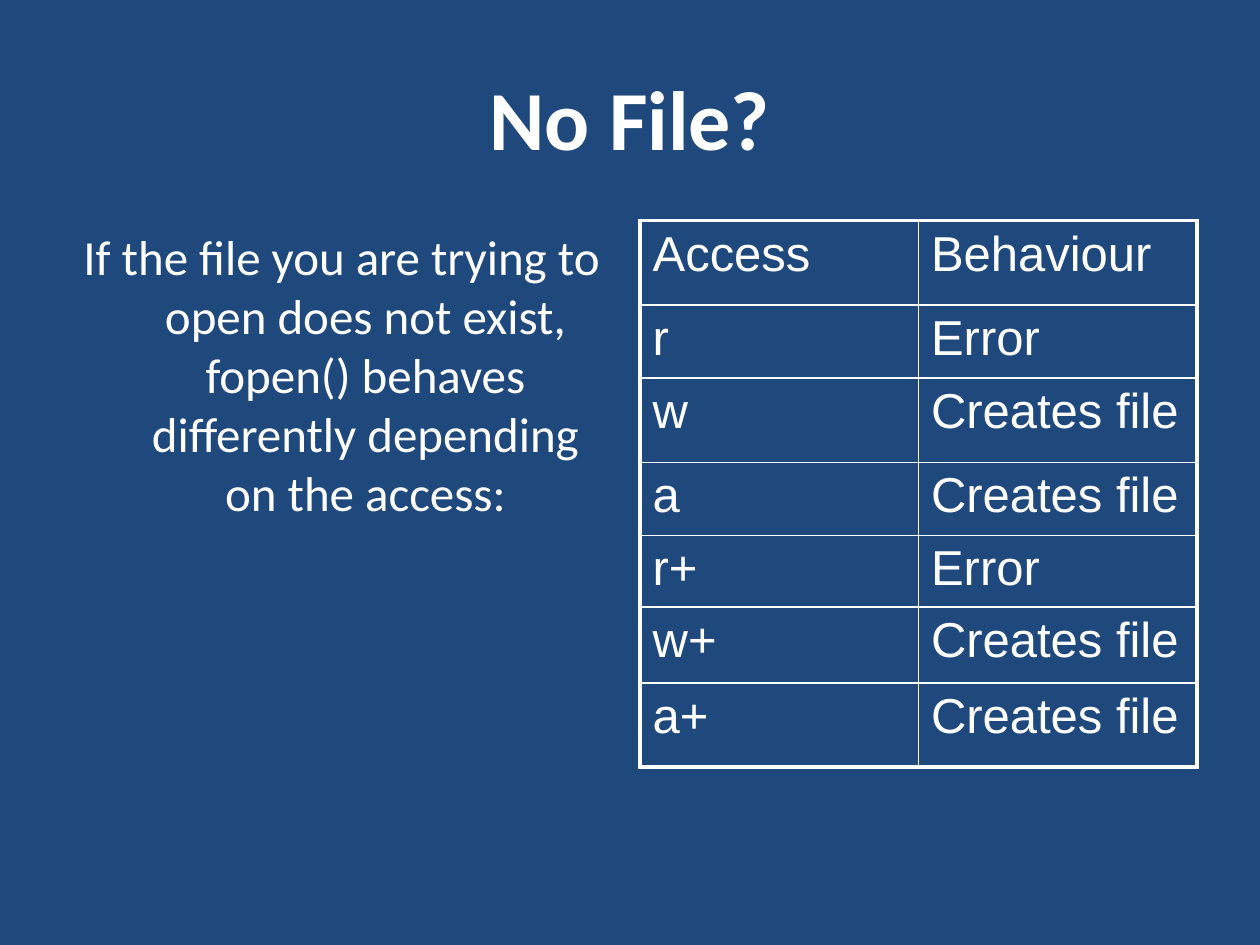
from lxml.etree import SubElement
from pptx import Presentation
from pptx.dml.color import RGBColor
from pptx.enum.text import MSO_ANCHOR as Anchor, PP_ALIGN as Align
from pptx.oxml.ns import qn
from pptx.util import Inches, Pt

NAVY = RGBColor(0x1F, 0x49, 0x7D)
WHITE = RGBColor(0xFF, 0xFF, 0xFF)
THIN, THICK = Pt(1), Pt(2.25)

ACCESS_ROWS = [
    ("Access", "Behaviour"),
    ("r", "Error"),
    ("w", "Creates file"),
    ("a", "Creates file"),
    ("r+", "Error"),
    ("w+", "Creates file"),
    ("a+", "Creates file"),
]
ROW_HEIGHTS = [0.67, 0.58, 0.67, 0.58, 0.57, 0.6, 0.67]


def write_text(frame, text, font="Calibri", size=28, bold=False,
               align=Align.LEFT, anchor=Anchor.TOP, before=0, hanging=0):
    frame.word_wrap = True
    frame.vertical_anchor = anchor
    para = frame.paragraphs[0]
    para.alignment = align
    para.space_before = Pt(before)
    if hanging:
        properties = para._p.get_or_add_pPr()
        properties.set("marL", str(Inches(hanging)))
        properties.set("indent", str(-Inches(hanging)))
    span = para.add_run()
    span.text = text
    span.font.name = font
    span.font.size = Pt(size)
    span.font.bold = bold
    span.font.color.rgb = WHITE


def add_text(page, box, text, **text_format):
    shape = page.shapes.add_textbox(*map(Inches, box))
    write_text(shape.text_frame, text, **text_format)


def set_borders(cell, widths):
    """Draw white borders; widths are left, right, top and bottom."""
    properties = cell._tc.get_or_add_tcPr()
    for position, (side, width) in enumerate(zip("LRTB", widths)):
        line = SubElement(properties, qn(f"a:ln{side}"), w=str(width))
        fill = SubElement(line, qn("a:solidFill"))
        SubElement(fill, qn("a:srgbClr"), val=str(WHITE))
        properties.remove(line)
        properties.insert(position, line)


def add_access_table(page, box):
    row_count, column_count = len(ACCESS_ROWS), len(ACCESS_ROWS[0])
    table = page.shapes.add_table(row_count, column_count, *map(Inches, box)).table
    table.first_row = table.horz_banding = False
    for column in table.columns:
        column.width = Inches(box[2] / column_count)
    for r, (height, texts) in enumerate(zip(ROW_HEIGHTS, ACCESS_ROWS)):
        table.rows[r].height = Inches(height)
        for c, text in enumerate(texts):
            cell = table.cell(r, c)
            cell.fill.background()
            write_text(cell.text_frame, text, font="Arial", before=5.6)
            on_edge = (c == 0, c == column_count - 1, r == 0, r == row_count - 1)
            set_borders(cell, [THICK if edge else THIN for edge in on_edge])


def main():
    deck = Presentation()
    deck.slide_width, deck.slide_height = Inches(10), Inches(7.5)
    page = deck.slides.add_slide(deck.slide_layouts[6])
    page.background.fill.solid()
    page.background.fill.fore_color.rgb = NAVY

    add_text(page, (0.5, 0.3, 9, 1.25), "No File?", size=48, bold=True,
             align=Align.CENTER, anchor=Anchor.MIDDLE)
    add_text(page, (0.5, 1.75, 4.42, 4.95),
             "If the file you are trying to open does not exist, fopen() "
             "behaves differently depending on the access:",
             align=Align.CENTER, before=5.6, hanging=0.38)
    add_access_table(page, (5.08, 1.75, 4.42, sum(ROW_HEIGHTS)))
    deck.save("out.pptx")


if __name__ == "__main__":
    main()
